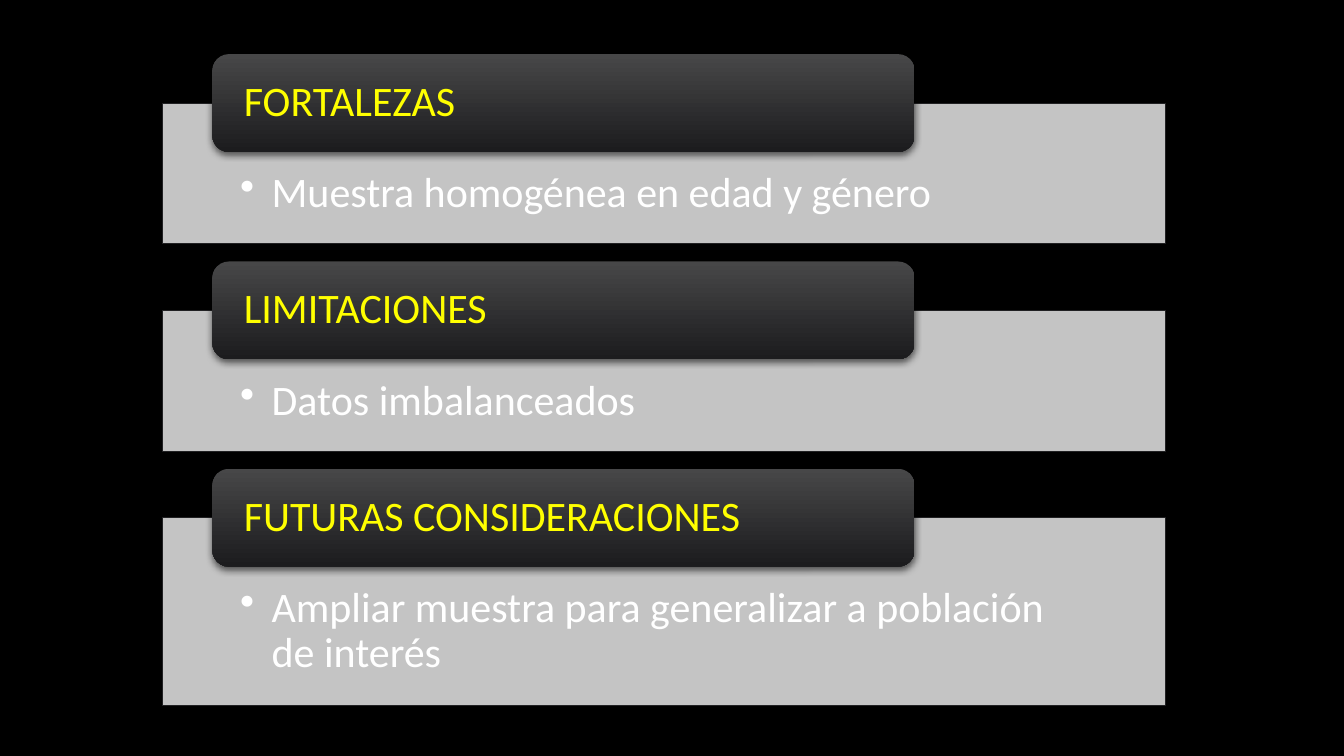
from pptx import Presentation
from pptx.dml.color import RGBColor
from pptx.enum.shapes import MSO_SHAPE
from pptx.enum.text import MSO_ANCHOR, PP_ALIGN
from pptx.oxml import parse_xml
from pptx.oxml.ns import nsdecls, qn
from pptx.util import Pt
from lxml.etree import SubElement

COLORS = {
    "background": "000000",
    "panel": "DADADA",
    "outline": "212123",
    "header_top": "474748",
    "header_bottom": "1C1C1E",
    "heading": "FFFF00",
    "detail": "FFFFFF",
    "shadow": "000000",
}
SECTIONS = [
    ("FORTALEZAS", "Muestra homogénea en edad y género", 100.5),
    ("LIMITACIONES", "Datos imbalanceados", 100.5),
    ("FUTURAS CONSIDERACIONES",
     "Ampliar muestra para generalizar a población de interés", 133.9),
]
FIRST_TOP, PANEL_OFFSET, SECTION_GAP = 38.7, 34.9, 12.7


def color(name):
    """Return the named colour."""
    return RGBColor.from_string(COLORS[name])


def write_text(shape, text, *, font, size, fill, insets,
               anchor=MSO_ANCHOR.TOP, space_after=0, bullet_indent=None):
    """Write one formatted paragraph into a shape."""
    frame = shape.text_frame
    frame.word_wrap = True
    frame.vertical_anchor = anchor
    (frame.margin_left, frame.margin_top,
     frame.margin_right, frame.margin_bottom) = map(Pt, insets)
    paragraph = frame.paragraphs[0]
    paragraph.alignment = PP_ALIGN.LEFT
    paragraph.line_spacing = 0.9
    paragraph.space_after = Pt(space_after)
    run = paragraph.add_run()
    run.text = text
    run.font.name = font
    run.font.size = Pt(size)
    run.font.color.rgb = color(fill)
    if bullet_indent:
        paragraph.level = 1
        properties = paragraph._p.get_or_add_pPr()
        properties.set("marL", str(Pt(bullet_indent)))
        properties.set("indent", str(-Pt(bullet_indent)))
        SubElement(properties, qn("a:buChar")).set("char", "•")


class SlideStyle:
    """Hold the style and the current slide."""

    font = "Calibri"
    size = 30

    def __init__(self, slide):
        """Take the slide and paint its background."""
        self.slide = slide
        background = slide.background.fill
        background.solid()
        background.fore_color.rgb = color("background")

    def block(self, preset, left, top, width, height):
        """Add a preset shape with a soft shadow below it."""
        shape = self.slide.shapes.add_shape(
            preset, Pt(left), Pt(top), Pt(width), Pt(height))
        shape.shadow.inherit = False
        effects = shape._element.spPr.find(qn("a:effectLst"))
        effects.append(parse_xml(
            f'<a:outerShdw {nsdecls("a")} blurRad="{Pt(5)}" dist="{Pt(2)}" '
            f'dir="5400000" algn="ctr" rotWithShape="0">'
            f'<a:srgbClr val="{COLORS["shadow"]}"><a:alpha val="60000"/>'
            f'</a:srgbClr></a:outerShdw>'))
        return shape

    def panel(self, detail, top, height):
        """Add a translucent panel with its bulleted detail."""
        panel = self.block(MSO_SHAPE.RECTANGLE, 115.9, top, 716.4, height)
        panel.fill.solid()
        panel.fill.fore_color.rgb = color("panel")
        panel_color = panel._element.spPr.find(qn("a:solidFill"))[0]
        SubElement(panel_color, qn("a:alpha")).set("val", "90000")
        panel.line.color.rgb = color("outline")
        panel.line.width = Pt(0.75)
        write_text(panel, detail, font=self.font, size=self.size,
                   fill="detail", insets=(55.6, 49, 55.6, 16.6),
                   space_after=4.5, bullet_indent=22.5)

    def header(self, heading, top):
        """Add a rounded gradient header with its heading."""
        header = self.block(
            MSO_SHAPE.ROUNDED_RECTANGLE, 151.8, top, 501.5, 69.8)
        header.fill.gradient()
        header.fill.gradient_angle = 270
        for stop, name in zip(header.fill.gradient_stops,
                              ("header_top", "header_bottom")):
            stop.color.rgb = color(name)
        header.line.fill.background()
        write_text(header, heading, font=self.font, size=self.size,
                   fill="heading", insets=(19, 0, 19, 0),
                   anchor=MSO_ANCHOR.MIDDLE, space_after=10.5)


def main():
    """Build and save the presentation."""
    presentation = Presentation()
    presentation.slide_width = Pt(960)
    presentation.slide_height = Pt(540)
    style = SlideStyle(
        presentation.slides.add_slide(presentation.slide_layouts[6]))
    top = FIRST_TOP
    for heading, detail, panel_height in SECTIONS:
        style.panel(detail, top + PANEL_OFFSET, panel_height)
        style.header(heading, top)
        top += PANEL_OFFSET + panel_height + SECTION_GAP
    presentation.save("out.pptx")


main()
